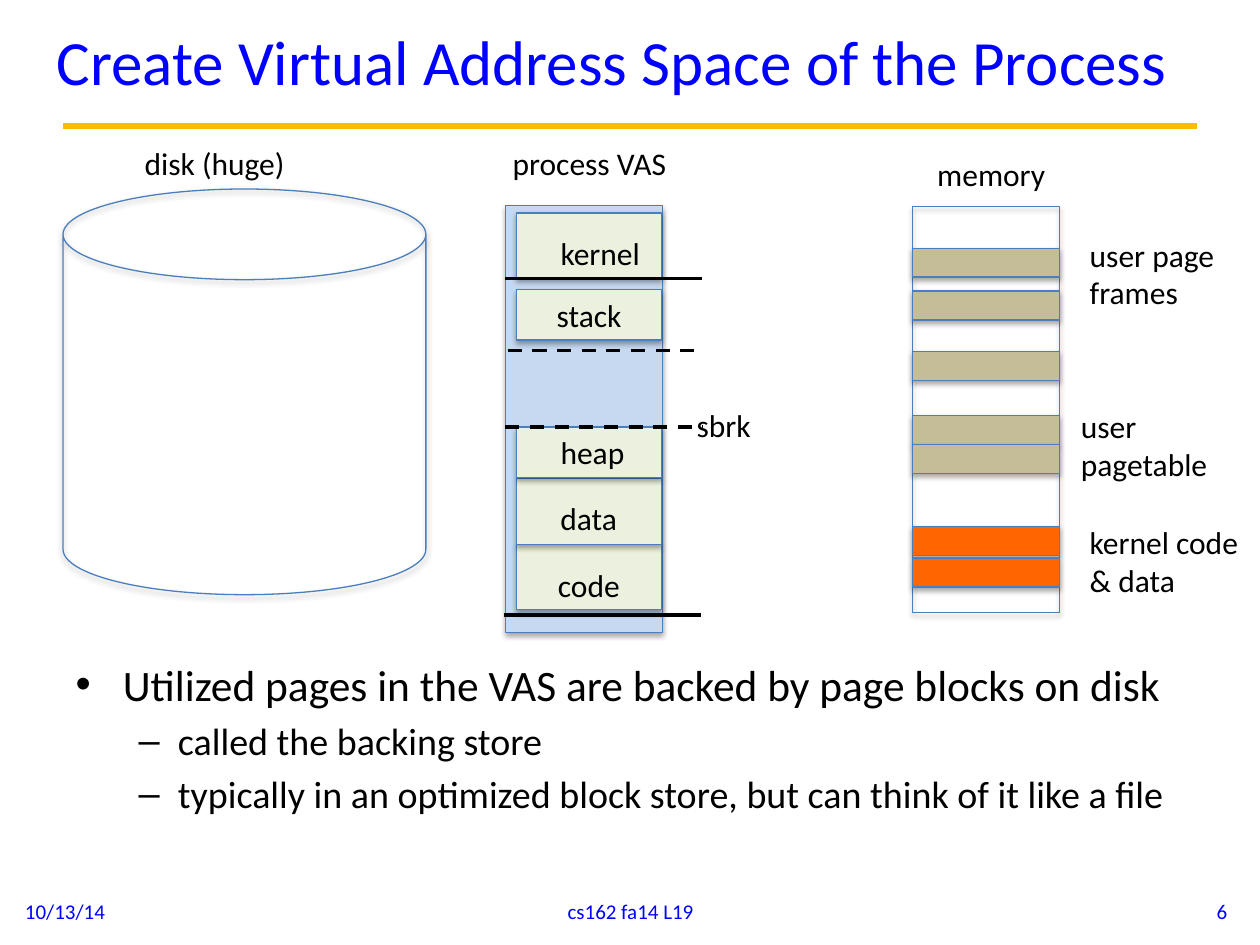
from pptx import Presentation
from pptx.dml.color import RGBColor
from pptx.enum.dml import MSO_LINE
from pptx.enum.shapes import MSO_CONNECTOR, MSO_SHAPE
from pptx.enum.text import MSO_ANCHOR, MSO_AUTO_SIZE, PP_ALIGN
from pptx.oxml.ns import qn
from pptx.util import Inches, Pt

BLUE = RGBColor(0x00, 0x00, 0xFF)
BLACK = RGBColor(0x00, 0x00, 0x00)
GOLD = RGBColor(0xFB, 0xBA, 0x03)
OUTLINE = RGBColor(0x4B, 0x7E, 0xBC)
PALE_BLUE = RGBColor(0xC6, 0xD9, 0xF1)
PALE_GREEN = RGBColor(0xEB, 0xF1, 0xDE)
TAN = RGBColor(0xC4, 0xBD, 0x97)
ORANGE = RGBColor(0xFF, 0x66, 0x00)

deck = Presentation()
deck.slide_width, deck.slide_height = Inches(10), Inches(7.5)
page = deck.slides.add_slide(deck.slide_layouts[1])  # title and content
shapes = page.shapes

# Grid of 100 columns by 75 rows
COLUMN = deck.slide_width // 100
ROW = deck.slide_height // 75


def grid(left, top, right, bottom):
    """Turn two pairs of column and row into lengths."""
    return [int(left * COLUMN), int(top * ROW), int(right * COLUMN), int(bottom * ROW)]


def write(frame, text, sizes=(18,), color=BLACK, align=PP_ALIGN.LEFT,
          anchor=MSO_ANCHOR.TOP, wrap=True, fit=MSO_AUTO_SIZE.NONE):
    """Fill a frame; sizes holds one size for each outline level."""
    frame.text = text.replace("\t", "")
    frame.word_wrap, frame.auto_size, frame.vertical_anchor = wrap, fit, anchor
    for para, line in zip(frame.paragraphs, text.split("\n")):
        para.level = line.count("\t")
        para.alignment = align
        for span in para.runs:
            span.font.name = "Calibri"
            span.font.size = Pt(sizes[para.level])
            span.font.color.rgb = color
    frame.paragraphs[0].space_before = Pt(0)


# Title and list
title, body = shapes.title, page.placeholders[1]
title.left, title.top, title.width, title.height = grid(3.5, 0, 91.5, 9.6)
write(title.text_frame, "Create Virtual Address Space of the Process", sizes=(36,),
      color=BLUE, anchor=MSO_ANCHOR.MIDDLE)
body.left, body.top, body.width, body.height = grid(5, 51.7, 90, 16)
write(body.text_frame,
      "Utilized pages in the VAS are backed by page blocks on disk\n"
      "\tcalled the backing store\n"
      "\ttypically in an optimized block store, but can think of it like a file",
      sizes=(24.8, 21.7))

# Footer
for left, width, text, align in [
    (1, 23.3, "10/13/14", PP_ALIGN.LEFT),
    (34.2, 31.7, "cs162 fa14 L19", PP_ALIGN.CENTER),
    (75.1, 23.3, "6", PP_ALIGN.RIGHT),
]:
    box = shapes.add_textbox(*grid(left, 70.3, width, 4))
    write(box.text_frame, text, sizes=(12,), color=BLUE, align=align,
          anchor=MSO_ANCHOR.MIDDLE)

# Disk, memory and address space, then the segments and page frames in them
blocks = [
    (MSO_SHAPE.CAN, 5, 15, 28.8, 32.2, None),
    (MSO_SHAPE.RECTANGLE, 72.4, 16.4, 11.7, 32.2, None),
    (MSO_SHAPE.RECTANGLE, 40.1, 16.3, 12.5, 33.9, PALE_BLUE),
]
for top, height in [(43.2, 5.2), (38, 5.2), (16.9, 5.2), (23, 4), (33.9, 4)]:
    blocks.append((MSO_SHAPE.RECTANGLE, 41, top, 11.5, height, PALE_GREEN))
for color, tops in [(TAN, (19.7, 23.1, 27.9, 33, 35.3)), (ORANGE, (41.8, 44.3))]:
    for top in tops:
        blocks.append((MSO_SHAPE.RECTANGLE, 72.4, top, 11.7, 2.3, color))
for kind, left, top, width, height, color in blocks:
    block = shapes.add_shape(kind, *grid(left, top, width, height))  # theme shadow kept
    if color is None:
        block.fill.background()
    else:
        block.fill.solid()
        block.fill.fore_color.rgb = color
    block.line.color.rgb = OUTLINE
    block.line.width = Pt(0.75)

# Title rule and segment limits
for left, right, row, color, weight, dash in [
    (5, 95, 10, GOLD, 3.75, MSO_LINE.SOLID),
    (40.1, 55.7, 22.1, BLACK, 2, MSO_LINE.SOLID),
    (40.3, 55.9, 27.8, BLACK, 2, MSO_LINE.DASH),
    (40.1, 55.8, 33.9, BLACK, 2, MSO_LINE.DASH),
    (40, 55.6, 48.8, BLACK, 2, MSO_LINE.SOLID),
]:
    rule = shapes.add_connector(MSO_CONNECTOR.STRAIGHT, *grid(left, row, right, row))
    rule.line.color.rgb = color
    rule.line.width = Pt(weight)
    rule.line.dash_style = dash
    properties = rule._element.spPr
    properties.append(properties.makeelement(qn("a:effectLst"), {}))

# One-line labels
for left, top, width, text in [
    (10.5, 10.9, 13.3, "disk (huge)"),
    (39.7, 10.9, 14.5, "process VAS"),
    (73.4, 11.8, 10.7, "memory"),
    (43.5, 18.1, 8.5, "kernel"),
    (43.2, 23, 7.3, "stack"),
    (54.3, 31.7, 6.4, "sbrk"),
    (43.5, 33.9, 7.1, "heap"),
    (43.5, 39.1, 6.6, "data"),
    (43.3, 44.4, 7, "code"),
]:
    box = shapes.add_textbox(*grid(left, top, width, 4))
    write(box.text_frame, text, wrap=False, fit=MSO_AUTO_SIZE.SHAPE_TO_FIT_TEXT)

# Two-line labels beside memory
for left, top, text in [
    (85.5, 18.2, "user page\nframes"),
    (84.8, 31.8, "user pagetable"),
    (85.5, 41, "kernel code & data"),
]:
    box = shapes.add_textbox(*grid(left, top, 14.9, 7.1))
    write(box.text_frame, text, fit=MSO_AUTO_SIZE.SHAPE_TO_FIT_TEXT)

deck.save("out.pptx")
